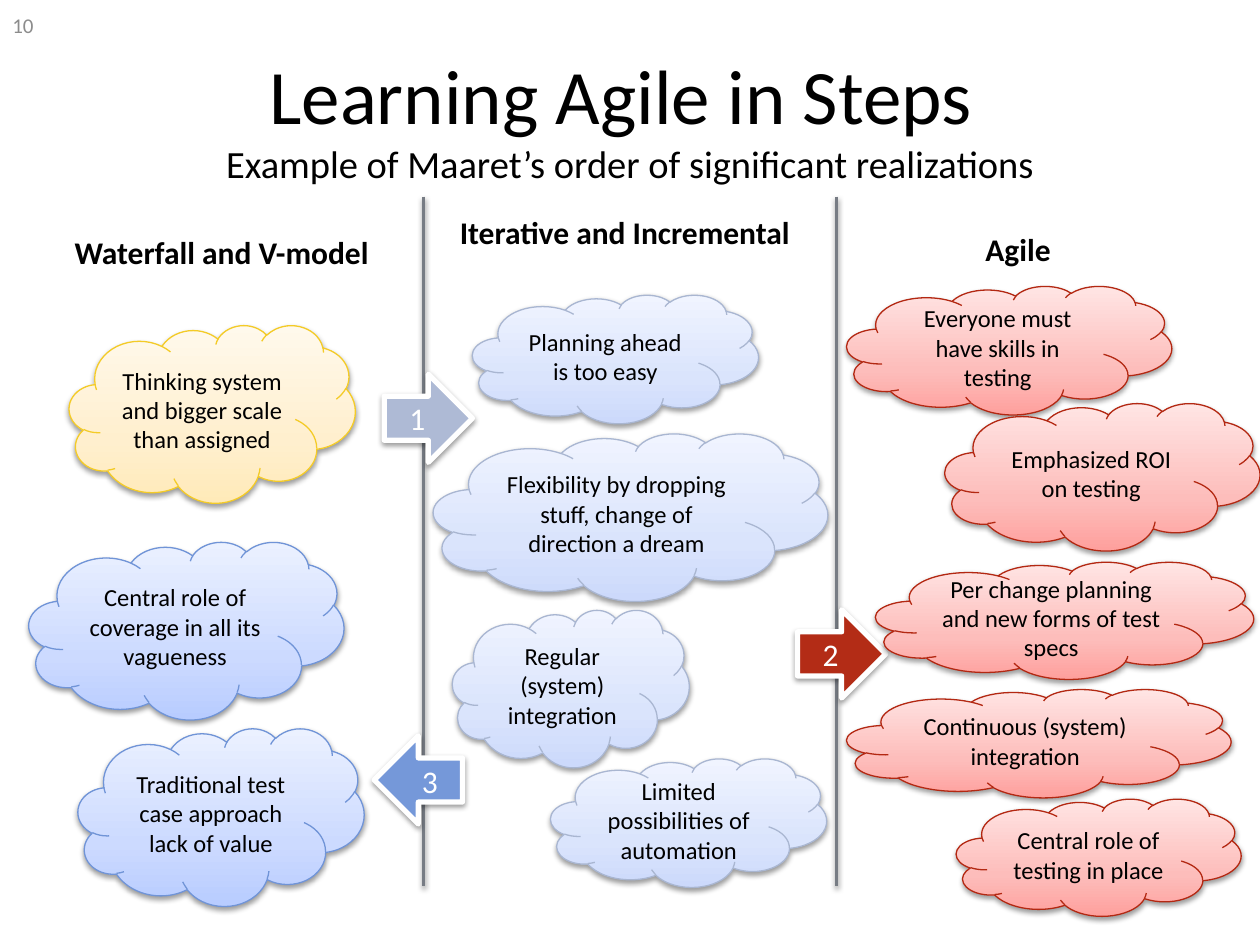
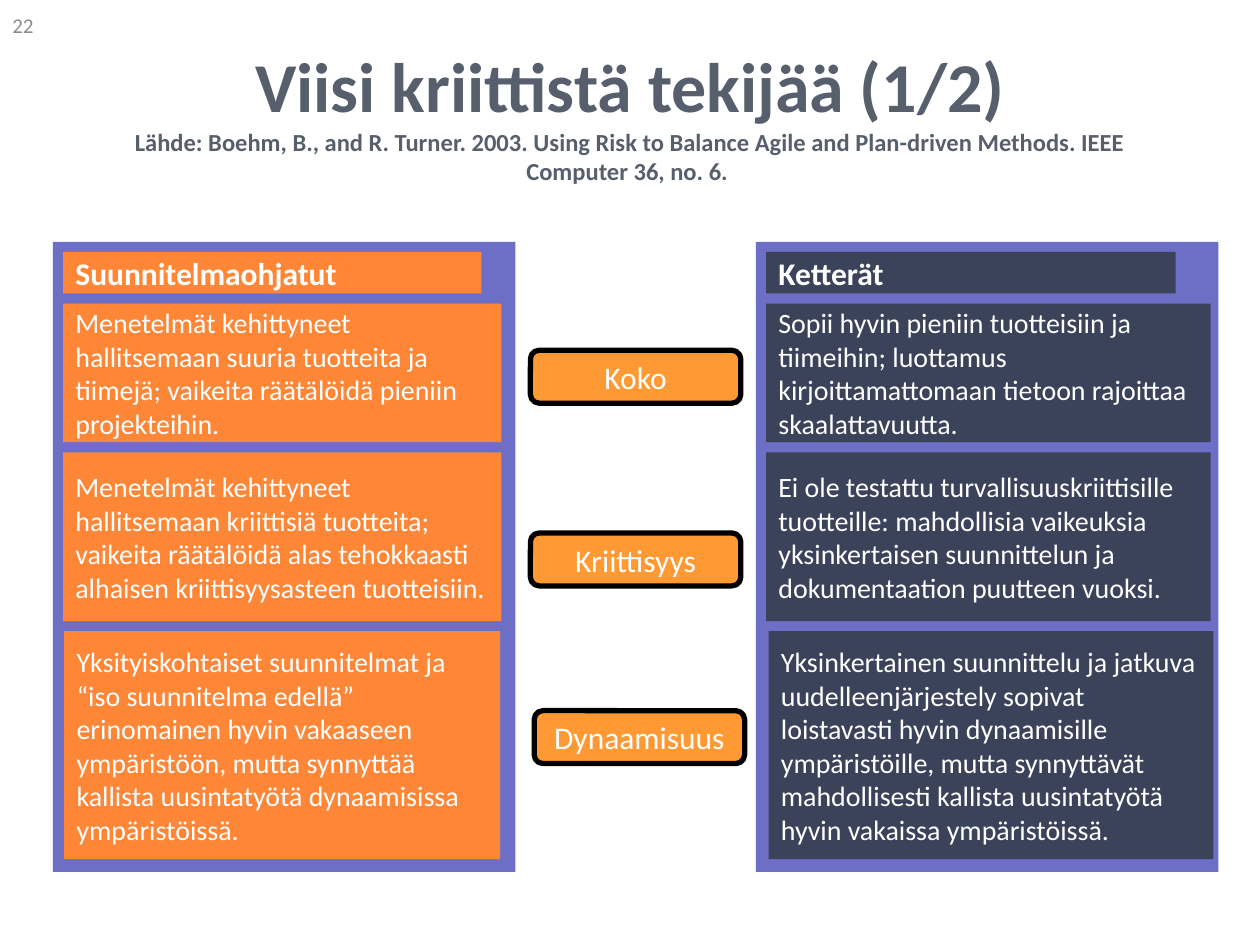
from copy import deepcopy
from dataclasses import dataclass

from lxml.etree import SubElement
from pptx import Presentation
from pptx.dml.color import RGBColor
from pptx.enum.shapes import MSO_CONNECTOR as Connector, MSO_SHAPE as Shape
from pptx.enum.text import MSO_ANCHOR as Anchor, MSO_AUTO_SIZE as AutoSize, PP_ALIGN as Align
from pptx.oxml.ns import qn
from pptx.util import Inches, Pt


@dataclass(frozen=True)
class Theme:
    font: str = "Calibri"
    black: str = "000000"
    white: str = "FFFFFF"
    number: str = "8C8C8C"
    slate: str = "575F6D"
    divider: str = "777C84"
    panel: str = "6D6FC7"
    orange: str = "FE8637"
    navy: str = "3B435B"
    factor: str = "FF9933"
    # Cloud palettes: outline, then gradient stops from bottom to top
    yellow: tuple = ("F4CB27", "FFEAB9", "FFEFCE", "FFF9EC")
    blue: tuple = ("7094D7", "B8CCFF", "CCDAFF", "EBF1FF")
    pale_blue: tuple = ("A9B6D1", "CCD9FB", "DAE4FC", "F0F4FF")
    red: tuple = ("B32812", "FEA09D", "FDBDBB", "FFE5E4")
    number_size: int = 12
    cloud_size: int = 14
    row_size: int = 16
    label_size: int = 18


THEME = Theme()
STOPS = (0, 0.35, 1)


def rgb(code):
    return RGBColor.from_string(code)


def write(frame, text, size, color=THEME.black, bold=False, align=Align.CENTER,
          anchor=Anchor.MIDDLE, wrap=True, subtitle=None, subtitle_size=None):
    frame.word_wrap = wrap
    frame.auto_size = AutoSize.NONE
    frame.vertical_anchor = anchor
    paragraph = frame.paragraphs[0]
    paragraph.alignment = align
    lines = [(text, size)]
    if subtitle:
        lines.append((subtitle, subtitle_size))
    for index, (line, points) in enumerate(lines):
        if index:
            paragraph.add_line_break()
        run = paragraph.add_run()
        run.text = line
        run.font.name = THEME.font
        run.font.size = Pt(points)
        run.font.bold = bold
        run.font.color.rgb = rgb(color)


def place(box):
    return [Inches(length) for length in box]


def add_text(slide, box, text, size, **style):
    write(slide.shapes.add_textbox(*place(box)).text_frame, text, size, **style)


def add_block(slide, kind, box, fill=None, outline=None, width=0):
    block = slide.shapes.add_shape(kind, *place(box))
    block.shadow.inherit = False
    if fill:
        block.fill.solid()
        block.fill.fore_color.rgb = rgb(fill)
    if outline:
        block.line.color.rgb = rgb(outline)
        block.line.width = Pt(width)
    else:
        block.line.fill.background()
    return block


def cast_shadow(effects):
    shadow = SubElement(effects, qn("a:outerShdw"), blurRad=str(Pt(3.1)),
                        dist=str(Pt(1.6)), dir="5400000", rotWithShape="0")
    color = SubElement(shadow, qn("a:srgbClr"), val=THEME.black)
    SubElement(color, qn("a:alpha"), val="38000")


def shade(block):
    cast_shadow(block._element.spPr.find(qn("a:effectLst")))


def add_cloud(slide, box, text, palette):
    outline, *tones = palette
    cloud = add_block(slide, Shape.CLOUD, box, outline=outline, width=0.75)
    cloud.fill.gradient()
    cloud.fill.gradient_angle = 90
    stop_list = cloud._element.spPr.find(".//" + qn("a:gsLst"))
    stop_list.insert(1, deepcopy(stop_list[0]))
    for stop, position, tone in zip(cloud.fill.gradient_stops, STOPS, tones):
        stop.position = position
        stop.color.rgb = rgb(tone)
    shade(cloud)
    write(cloud.text_frame, text, THEME.cloud_size)


def add_divider(slide, x, top, bottom):
    divider = slide.shapes.add_connector(Connector.STRAIGHT, *place((x, top, x, bottom)))
    divider.line.color.rgb = rgb(THEME.divider)
    divider.line.width = Pt(2)
    cast_shadow(SubElement(divider._element.spPr, qn("a:effectLst")))


def add_step(slide, left, top, number, fill, backwards=False):
    arrow = add_block(slide, Shape.RIGHT_ARROW, (left, top, 0.7, 0.7), fill, THEME.white, 3)
    shade(arrow)
    if backwards:
        # The digit stays upright in its own box over the turned arrow
        arrow.rotation = 180
        add_text(slide, (left + 0.28, top + 0.16, 0.42, 0.4), number, THEME.label_size,
                 color=THEME.white, align=Align.LEFT, anchor=Anchor.TOP)
    else:
        write(arrow.text_frame, number, THEME.label_size, color=THEME.white)


def add_column(slide, left, top, heading, heading_at, clouds):
    """Heading and clouds, all offset from the column's top left corner."""
    dx, dy = heading_at
    add_text(slide, (left + dx, top + dy, 3.2, 0.4), heading, THEME.label_size,
             bold=True, anchor=Anchor.TOP)
    for (x, y, width, height), text, palette in clouds:
        add_cloud(slide, (left + x, top + y, width, height), text, palette)


def add_panel(slide, left, top, color, heading, heading_width, rows, row_width,
              last_shift, last_width):
    """Panel with a heading and three rows stacked at one equal gap."""
    gap, heading_height = 0.08, 0.33
    add_block(slide, Shape.RECTANGLE, (left, top, 3.67, 5), THEME.panel)
    x, y = left + gap, top + gap
    header = add_block(slide, Shape.RECTANGLE, (x, y, heading_width, heading_height), color)
    write(header.text_frame, heading, THEME.label_size, color=THEME.white, bold=True,
          align=Align.LEFT, wrap=False)
    y += heading_height + gap
    spans = ((0, row_width), (0, row_width), (last_shift, last_width))
    for text, height, (shift, width) in zip(rows, (1.1, 1.34, 1.81), spans):
        row = add_block(slide, Shape.RECTANGLE, (x + shift, y, width, height), color)
        write(row.text_frame, text, THEME.row_size, color=THEME.white, align=Align.LEFT)
        y += height + gap


def add_factor(slide, left, top, name):
    factor = add_block(slide, Shape.ROUNDED_RECTANGLE, (left, top, 1.67, 0.42),
                       THEME.factor, THEME.black, 3)
    write(factor.text_frame, name, THEME.label_size, color=THEME.white, wrap=False)


def start_slide(deck, number, title_box, title, size, **style):
    slide = deck.slides.add_slide(deck.slide_layouts[5])
    heading = slide.shapes.title
    heading.left, heading.top, heading.width, heading.height = place(title_box)
    write(heading.text_frame, title, size, **style)
    add_text(slide, (0, 0, 2.33, 0.4), number, THEME.number_size, color=THEME.number,
             align=Align.LEFT)
    return slide


def build_steps(deck):
    slide = start_slide(deck, "10", (0.5, 0.3, 9, 1.25), "Learning Agile in Steps ", 44,
                        subtitle="Example of Maaret’s order of significant realizations",
                        subtitle_size=22)
    top, middle, right = 1.5, 3.36, 6.64
    for x in (middle, right):
        add_divider(slide, x, 1.56, 7.03)
    add_step(slide, 3.05, 2.97, "1", "AEBAD5")
    add_step(slide, 6.33, 4.84, "2", "B32C16")
    add_step(slide, 2.97, 5.84, "3", "7598D9", backwards=True)
    yellow, blue, pale, red = THEME.yellow, THEME.blue, THEME.pale_blue, THEME.red
    add_column(slide, 0, top, "Waterfall and V-model", (0.16, 0.3), [
        ((0.55, 1.08, 2.27, 1.41), "Thinking system and bigger scale than assigned", yellow),
        ((0.23, 2.8, 2.5, 1.41), "Central role of coverage in all its vagueness", blue),
        ((0.62, 4.28, 2.27, 1.41), "Traditional test case approach lack of value", blue),
    ])
    add_column(slide, middle, top, "Iterative and Incremental", (0, 0.14), [
        ((0.39, 0.84, 2.27, 1.02), "Planning ahead is too easy", pale),
        ((0.08, 1.94, 3.13, 1.33),
         "Flexibility by dropping stuff, change of direction a dream", pale),
        ((1.01, 4.52, 2.19, 1.02), "Limited possibilities of automation", pale),
        ((0.23, 3.34, 1.88, 1.25), "Regular (system) integration", pale),
    ])
    add_column(slide, right, top, "Agile", (-0.16, 0.28), [
        ((0.08, 0.77, 2.58, 1.02), "Everyone must have skills in testing", red),
        ((0.86, 1.7, 2.5, 1.17), "Emphasized ROI on testing", red),
        ((0.08, 3.97, 3.05, 0.86), "Continuous (system) integration", red),
        ((0.95, 4.84, 2.26, 0.93), "Central role of testing in place", red),
        ((0.31, 2.96, 3, 0.93), "Per change planning and new forms of test specs", red),
    ])


def build_factors(deck):
    slide = start_slide(deck, "22", (0.75, 0.28, 8.5, 1.25), "Viisi kriittistä tekijää (1/2)",
                        40, color=THEME.slate, bold=True, subtitle_size=14,
                        subtitle="Lähde: Boehm, B., and R. Turner. 2003. Using Risk to Balance "
                                 "Agile and Plan-driven Methods. IEEE Computer 36, no. 6. ")
    add_panel(slide, 0.42, 1.92, THEME.orange, "Suunnitelmaohjatut", 3.32, [
        "Menetelmät kehittyneet hallitsemaan suuria tuotteita ja tiimejä; vaikeita "
        "räätälöidä pieniin projekteihin.",
        "Menetelmät kehittyneet hallitsemaan kriittisiä tuotteita; vaikeita räätälöidä "
        "alas tehokkaasti alhaisen kriittisyysasteen tuotteisiin.",
        "Yksityiskohtaiset suunnitelmat ja “iso suunnitelma edellä” erinomainen hyvin "
        "vakaaseen ympäristöön, mutta synnyttää kallista uusintatyötä dynaamisissa "
        "ympäristöissä.",
    ], row_width=3.48, last_shift=0.01, last_width=3.46)
    add_panel(slide, 6, 1.92, THEME.navy, "Ketterät", 3.25, [
        "Sopii hyvin pieniin tuotteisiin ja tiimeihin; luottamus kirjoittamattomaan "
        "tietoon rajoittaa skaalattavuutta.",
        "Ei ole testattu turvallisuuskriittisille tuotteille: mahdollisia vaikeuksia "
        "yksinkertaisen suunnittelun ja dokumentaation puutteen vuoksi.",
        "Yksinkertainen suunnittelu ja jatkuva uudelleenjärjestely sopivat loistavasti "
        "hyvin dynaamisille ympäristöille, mutta synnyttävät mahdollisesti kallista "
        "uusintatyötä hyvin vakaissa ympäristöissä.",
    ], row_width=3.53, last_shift=0.02, last_width=3.53)
    for left, top, name in ((4.21, 2.78, "Koko"), (4.21, 4.23, "Kriittisyys"),
                            (4.24, 5.64, "Dynaamisuus")):
        add_factor(slide, left, top, name)


def main():
    deck = Presentation()
    deck.slide_width, deck.slide_height = Inches(10), Inches(7.5)
    build_steps(deck)
    build_factors(deck)
    deck.save("out.pptx")


if __name__ == "__main__":
    main()
